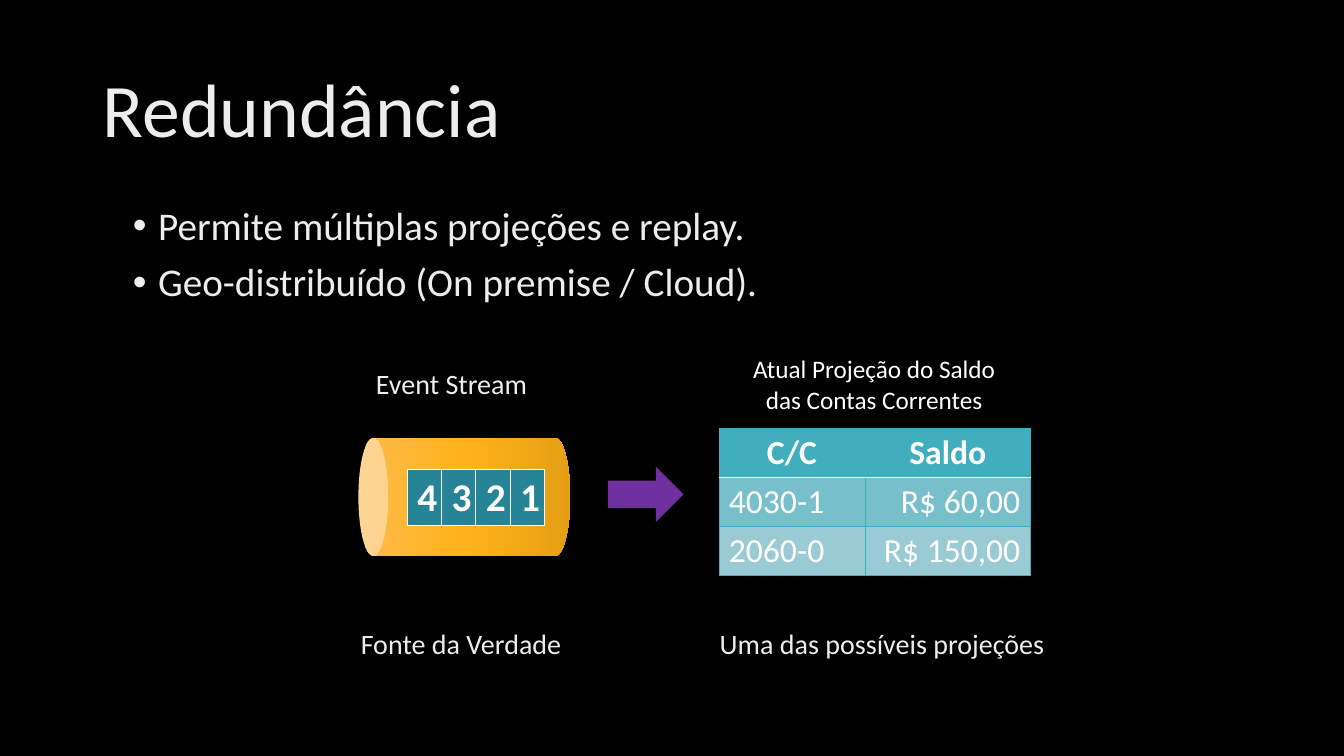
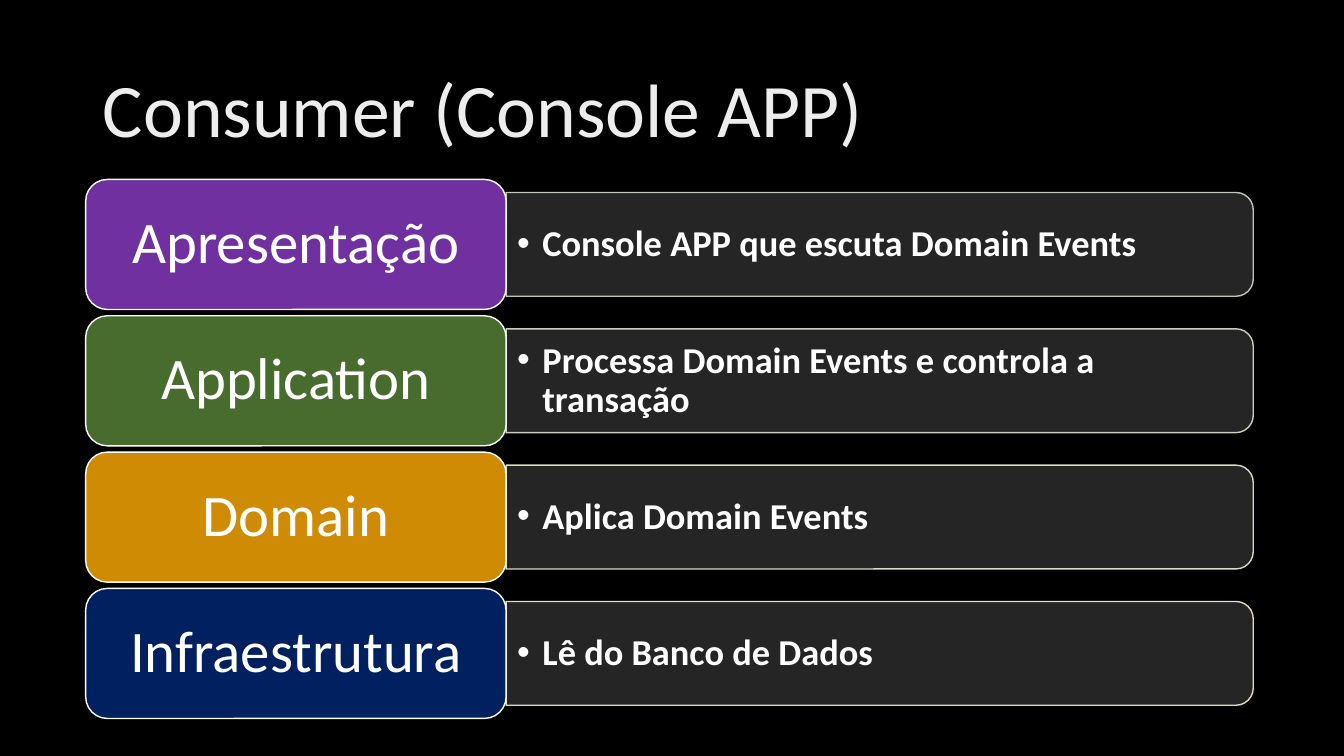
from copy import deepcopy

from lxml.etree import SubElement
from pptx import Presentation
from pptx.dml.color import RGBColor
from pptx.enum.shapes import MSO_SHAPE
from pptx.enum.text import MSO_ANCHOR, MSO_AUTO_SIZE, PP_ALIGN
from pptx.oxml.ns import qn
from pptx.util import Emu, Pt

# Shared style: 100 px to the inch
PX = 9144
FONT = "Calibri"
BLACK, WHITE, SILVER = "000000", "FFFFFF", "EDEDED"
TEAL, PURPLE, PANEL = "41AEBD", "7030A0", "252526"


def px(length):
    return Emu(round(length * PX))


def rgb(code):
    return RGBColor.from_string(code)


class Deck:
    """Holds the style and the current slide."""

    def __init__(self):
        self.prs = Presentation()
        self.prs.slide_width, self.prs.slide_height = px(1333), px(750)
        backdrop = self.prs.slide_master.background.fill
        backdrop.solid()
        backdrop.fore_color.rgb = rgb(BLACK)
        self.slide = None

    def add_slide(self, heading):
        self.slide = self.prs.slides.add_slide(self.prs.slide_layouts[5])
        title = self.slide.shapes.title
        title.left, title.top, title.width, title.height = map(px, (92, 40, 1150, 145))
        self.set_text(title.text_frame, [heading], 54, SILVER, spacing=0.9)

    def set_text(self, frame, lines, size, color, bold=False, align=PP_ALIGN.LEFT,
                 anchor=MSO_ANCHOR.MIDDLE, spacing=1.0, bullets=False, insets=(10, 5)):
        frame.word_wrap = True
        frame.auto_size = MSO_AUTO_SIZE.NONE
        frame.vertical_anchor = anchor
        frame.margin_left = frame.margin_right = px(insets[0])
        frame.margin_top = frame.margin_bottom = px(insets[1])
        for i, line in enumerate(lines):
            paragraph = frame.add_paragraph() if i else frame.paragraphs[0]
            paragraph.text = line
            if bullets:
                self.bullet(paragraph)
            if i:
                paragraph.space_before = Pt(10)
            paragraph.line_spacing = spacing
            self.style(paragraph, size, color, bold, align)

    def style(self, paragraph, size, color, bold, align):
        paragraph.alignment = align
        font = paragraph.font
        font.name, font.size, font.bold = FONT, Pt(size), bold
        font.color.rgb = rgb(color)

    def bullet(self, paragraph):
        props = paragraph._p.get_or_add_pPr()
        props.set("marL", str(px(25)))
        props.set("indent", str(-px(25)))
        SubElement(props, qn("a:buFont")).set("typeface", "Arial")
        SubElement(props, qn("a:buChar")).set("char", "•")

    def text(self, box, lines, size, color=SILVER, **options):
        frame = self.slide.shapes.add_textbox(*map(px, box)).text_frame
        self.set_text(frame, lines, size, color, **options)

    def shape(self, kind, box, fill=None, line=None, rotation=0, line_alpha=100):
        shape = self.slide.shapes.add_shape(kind, *map(px, box))
        shape.shadow.inherit = False
        shape.rotation = rotation
        if fill:
            shape.fill.solid()
            shape.fill.fore_color.rgb = rgb(fill)
        if line:
            shape.line.width = Pt(1)
            shape.line.color.rgb = rgb(line)
            if line_alpha < 100:
                edge = shape._element.spPr.find(qn("a:ln"))
                tone = edge.find(".//" + qn("a:srgbClr"))
                SubElement(tone, qn("a:alpha")).set("val", str(line_alpha * 1000))
        else:
            shape.line.fill.background()
        return shape

    def gradient(self, shape, colors):
        """Spread three colours evenly from the top of the shape to its bottom."""
        shape.fill.gradient()
        shape.fill.gradient_angle = 270
        stops = shape._element.spPr.find(qn("a:gradFill")).find(qn("a:gsLst"))
        stops.append(deepcopy(stops[0]))
        for i, (stop, color) in enumerate(zip(shape.fill.gradient_stops, colors)):
            stop.position = i / 2
            stop.color.rgb = rgb(color)

    def table(self, left, top, widths, row_height, row_count):
        box = (left, top, sum(widths), row_height * row_count)
        frame = self.slide.shapes.add_table(row_count, len(widths), *map(px, box))
        table = frame.table
        table.first_row = table.horz_banding = False
        for column, width in zip(table.columns, widths):
            column.width = px(width)
        return table

    def cell(self, cell, value, size, fill, borders, bold=False, align=PP_ALIGN.LEFT):
        """Borders are (colour, points) for left, right, top and bottom."""
        cell.margin_left = cell.margin_right = px(10)
        cell.margin_top = cell.margin_bottom = px(4)
        cell.fill.solid()
        cell.fill.fore_color.rgb = rgb(fill)
        paragraph = cell.text_frame.paragraphs[0]
        paragraph.text = value
        self.style(paragraph, size, WHITE, bold, align)
        props = cell._tc.get_or_add_tcPr()
        for i, (side, (color, width)) in enumerate(zip("LRTB", borders)):
            edge = SubElement(props, qn("a:ln" + side), w=str(Pt(width)))
            paint = SubElement(edge, qn("a:solidFill"))
            SubElement(paint, qn("a:srgbClr")).set("val", color)
            props.insert(i, edge)


def redundancy(deck):
    deck.add_slide("Redundância")
    deck.text((122, 200, 1119, 130),
              ["Permite múltiplas projeções e replay.",
               "Geo-distribuído (On premise / Cloud)."],
              28, anchor=MSO_ANCHOR.TOP, spacing=0.9, bullets=True)

    # Event stream
    stream = deck.shape(MSO_SHAPE.CAN, (402, 388, 117, 210), rotation=270)
    deck.gradient(stream, ("FFBA4F", "FFB219", "E59F14"))
    events = deck.table(404, 466, [34] * 4, 54, 1)
    for i, event in enumerate("4321"):
        deck.cell(events.cell(0, i), event, 28, "268496", [(WHITE, 1)] * 4, bold=True)
    deck.shape(MSO_SHAPE.RIGHT_ARROW, (603, 463, 75, 55), PURPLE)

    # Balance projection
    accounts = [("C/C", "Saldo"), ("4030-1", "R$ 60,00"), ("2060-0", "R$ 150,00")]
    fills = (TEAL, "78BFCC", "9ACAD4")
    thin, rule = (TEAL, 0.5), (WHITE, 1)
    balances = deck.table(713, 425, [145, 164], 48, len(accounts))
    for r, (account, fill) in enumerate(zip(accounts, fills)):
        borders = [thin, thin, rule if r == 1 else thin, rule if r == 0 else thin]
        for c, value in enumerate(account):
            align = PP_ALIGN.CENTER if r == 0 else (PP_ALIGN.LEFT, PP_ALIGN.RIGHT)[c]
            deck.cell(balances.cell(r, c), value, 24, fill, borders, r == 0, align)
    deck.text((629, 346, 476, 71), ["Atual Projeção do Saldo\vdas Contas Correntes"],
              18, WHITE, align=PP_ALIGN.CENTER, anchor=MSO_ANCHOR.TOP)

    # Captions
    for left, top, width, caption in (
            (363, 338, 178, "Event Stream"),
            (348, 596, 226, "Fonte da Verdade"),
            (704, 596, 374, "Uma das possíveis projeções")):
        deck.text((left, top, width, 88), [caption], 20, spacing=0.9)


def consumer(deck):
    deck.add_slide("Consumer (Console APP)")
    layers = (
        ("Apresentação", PURPLE, "D2DBCE", "Console APP que escuta Domain Events"),
        ("Application", "486B2E", "DDE8CC",
         "Processa Domain Events e controla a transação"),
        ("Domain", "CF8B03", "EEF3CC", "Aplica Domain Events"),
        ("Infraestrutura", "002060", "FBF3CE", "Lê do Banco de Dados"),
    )
    left, top, name_width, name_height, pitch = 85, 178, 417, 129, 135.25
    panel_width, panel_height = 741, 103
    panel_left = left + name_width
    for i, (name, fill, outline, duty) in enumerate(layers):
        layer_top = top + i * pitch
        middle = layer_top + name_height / 2
        # The panel stands upright before its quarter turn
        upright = (panel_left + (panel_width - panel_height) / 2,
                   middle - panel_width / 2, panel_height, panel_width)
        deck.shape(MSO_SHAPE.ROUND_2_SAME_RECTANGLE, upright, PANEL, outline,
                   rotation=90, line_alpha=90)
        deck.text((panel_left, middle - 46, 736, 93), [duty], 26, WHITE, bold=True,
                  spacing=0.9, bullets=True, insets=(11, 5))
        layer = deck.shape(MSO_SHAPE.ROUNDED_RECTANGLE,
                           (left, layer_top, name_width, name_height), fill, WHITE)
        deck.set_text(layer.text_frame, [name], 42, WHITE, align=PP_ALIGN.CENTER,
                      spacing=0.9, insets=(17, 9))


def main():
    deck = Deck()
    redundancy(deck)
    consumer(deck)
    deck.prs.save("out.pptx")


if __name__ == "__main__":
    main()
